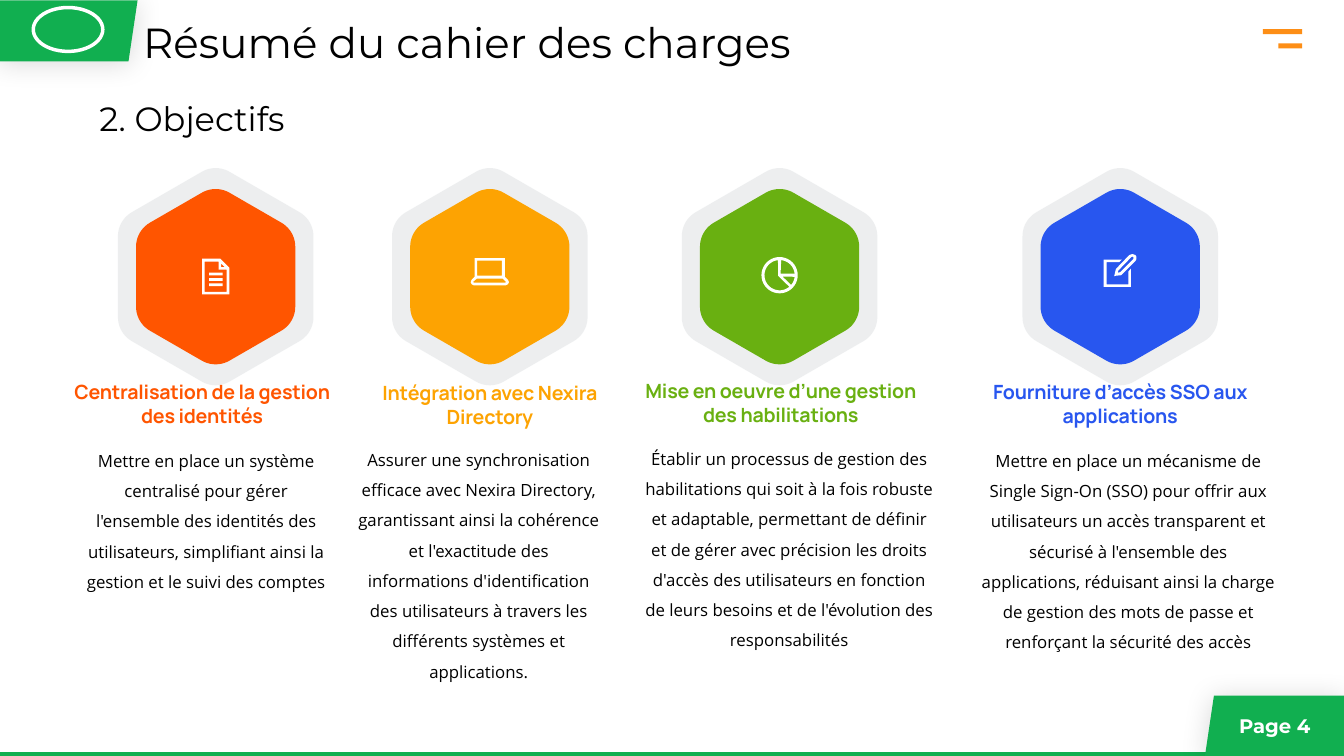
from math import cos, pi, radians, sin
from lxml.etree import SubElement as Sub
from pptx import Presentation
from pptx.dml.color import RGBColor as RGB
from pptx.enum.shapes import MSO_CONNECTOR as LINK, MSO_SHAPE as KIND
from pptx.enum.text import MSO_ANCHOR as ANCHOR, PP_ALIGN as ALIGN
from pptx.oxml.ns import qn
from pptx.util import Inches, Pt

WIDE, HIGH = 26.67, 15
GREEN, ORANGE, GREY, WHITE, BLACK = "11AF50", "FD8E16", "DCDFE1", "FFFFFF", "000000"


def arc(x, y, r, start, end, steps=10):
    turns = [radians(start + (end - start) * i / steps) for i in range(steps + 1)]
    return [(x + r * cos(t), y + r * sin(t)) for t in turns]


PAPER = [
    [(0, 0), (0, 71), (54, 71), (54, 18), (36, 0)],
    [(5, 6), (33, 6), (33, 22), (49, 22), (49, 66), (5, 66)],
    [(38, 10), (45, 17), (38, 17)],
] + [[(14, y), (41, y), (41, y + 5.5), (14, y + 5.5)] for y in (28, 39, 49.5)]
LAPTOP = [
    [(8, 0), (8, 37), (2, 43), (0, 48), (2, 52), (6, 54),
     (70, 54), (74, 52), (76, 48), (74, 43), (68, 37), (68, 0)],
    [(13, 5), (62, 5), (62, 35), (13, 35)],
    [(12, 41), (64, 41), (70, 47), (69, 49), (6, 49), (5, 47)],
]
PIE = [
    arc(36, 36, 36, 0, 360, 40),
    [(33, 37)] + arc(36, 36, 30, 50, 264, 24),
    [(38, 33)] + arc(36, 36, 30, -84, -6),
    [(42, 39)] + arc(36, 36, 30, 6, 40),
]
PEN = [
    [(0, 11), (0, 65), (54, 65), (54, 29), (49, 35), (49, 60),
     (6, 60), (6, 16), (31, 16), (36, 11)],
    [(57, 0), (51, 2), (25, 29), (24, 31), (21, 44), (25, 43),
     (35, 42), (36, 41), (63, 14), (65, 10), (65, 5), (63, 2)],
    [(57, 5), (59, 6), (59, 10), (33, 36), (28, 37), (29, 33), (55, 6)],
]

GOALS = [
    dict(mid=4.28, color="FF5500", icon=PAPER, spot=(4.01, 5.13),
         head="Centralisation de la gestion des identités", top=(1.29, 7.49, 5.44, 1.04),
         body="Mettre en place un système centralisé pour gérer l'ensemble des identités "
              "des utilisateurs, simplifiant ainsi la gestion et le suivi des comptes",
         area=(1.59, 8.69, 5, 3.07)),
    dict(mid=9.72, color="FDA302", icon=LAPTOP, spot=(9.34, 5.12),
         head="Intégration avec Nexira Directory", top=(7, 7.51, 5.44, 1.04),
         body="Assurer une synchronisation efficace avec Nexira Directory, garantissant "
              "ainsi la cohérence et l'exactitude des informations d'identification des "
              "utilisateurs à travers les différents systèmes et applications.",
         area=(7, 8.67, 5, 4.88)),
    dict(mid=15.47, color="69B011", icon=PIE, spot=(15.11, 5.1),
         head="Mise en oeuvre d’une gestion des habilitations", top=(12.68, 7.47, 5.63, 1.04),
         body="Établir un processus de gestion des habilitations qui soit à la fois robuste "
              "et adaptable, permettant de définir et de gérer avec précision les droits "
              "d'accès des utilisateurs en fonction de leurs besoins et de l'évolution des "
              "responsabilités",
         area=(12.69, 8.65, 5.94, 4.28)),
    dict(mid=22.23, color="2856EF", icon=PEN, spot=(21.9, 5.04),
         head="Fourniture d’accès SSO aux applications", top=(19.36, 7.49, 5.74, 1.04),
         body="Mettre en place un mécanisme de Single Sign-On (SSO) pour offrir aux "
              "utilisateurs un accès transparent et sécurisé à l'ensemble des applications, "
              "réduisant ainsi la charge de gestion des mots de passe et renforçant la "
              "sécurité des accès",
         area=(19.36, 8.69, 6.06, 4.28)),
]
TITLES = [
    ("Résumé du cahier des charges", (2.84, 0.33, 23.33, 1.01), 60),
    ("2. Objectifs", (1.97, 1.94, 23.33, 0.81), 48),
]
TABS = [
    [(-0.03, 0.01), (2.73, 0.01), (2.55, 1.22), (-0.03, 1.22)],
    [(WIDE, 15.01), (23.91, 15.01), (24.09, 13.8), (WIDE, 13.8)],
]
BARS = [(25.06, 0.58, 0.78, 0.1), (25.37, 0.86, 0.47, 0.1)]

deck = Presentation()
deck.slide_width, deck.slide_height = Inches(WIDE), Inches(HIGH)
slide = deck.slides.add_slide(deck.slide_layouts[6])
shapes = slide.shapes


def hue(code):
    return RGB.from_string(code)


def paint(shape, color):
    shape.shadow.inherit = False
    shape.fill.solid()
    shape.fill.fore_color.rgb = hue(color)
    shape.line.fill.background()
    return shape


def fade(node, share):
    Sub(node, qn("a:alpha"), val=str(share * 1000))


def draw(loops, color, left=0, top=0, unit=1):
    pen = None
    for loop in loops:
        (x, y), *rest = [(Inches(left + x * unit), Inches(top + y * unit)) for x, y in loop]
        if pen is None:
            pen = shapes.build_freeform(x, y)
        else:
            pen.move_to(x, y)
        pen.add_line_segments(rest, close=True)
    return paint(pen.convert_to_shape(), color)


def shade(shape):
    effects = shape._element.spPr.find(qn("a:effectLst"))
    glow = Sub(effects, qn("a:outerShdw"), blurRad=str(Pt(40)), dist=str(Pt(3)), dir="5400000")
    fade(Sub(glow, qn("a:srgbClr"), val=BLACK), 15)


def hexa(mid, half, color):
    curve = 0.55
    reach = (half - curve) / cos(pi / 6)
    loop = []
    for turn in range(-90, 270, 60):
        x, y = mid + reach * cos(radians(turn)), 5.49 + reach * sin(radians(turn))
        loop += arc(x, y, curve, turn - 30, turn + 30)
    return draw([loop], color)


def write(text, box, size, face, color=BLACK, align=ALIGN.LEFT, bold=False, inset=True):
    frame = shapes.add_textbox(*map(Inches, box)).text_frame
    frame.word_wrap = True
    if not inset:
        frame.margin_left = frame.margin_right = frame.margin_top = frame.margin_bottom = 0
    frame.text = text
    para = frame.paragraphs[0]
    para.alignment = align
    font = para.runs[0].font
    font.size, font.name, font.bold = Pt(size), face, bold
    font.color.rgb = hue(color)
    return frame


line = shapes.add_connector(LINK.STRAIGHT, *map(Inches, (0, 14.96, 23.95, 14.96)))
line.line.color.rgb = hue(GREEN)
line.line.width = Pt(6)
Sub(line._element.spPr, qn("a:effectLst"))

for tab in TABS:
    shade(draw([tab], GREEN))
write("Page 4", (22.23, 14.11, 3.87, 0.57), 28, "Montserrat", WHITE, ALIGN.RIGHT, True)
for bar in BARS:
    paint(shapes.add_shape(KIND.RECTANGLE, *map(Inches, bar)), ORANGE)

badge = paint(shapes.add_shape(KIND.OVAL, *map(Inches, (0.66, 0.15, 1.38, 0.87))), GREEN)
badge.line.color.rgb = hue(WHITE)
badge.line.width = Pt(5)

for goal in GOALS:
    rim = hexa(goal["mid"], 1.94, GREY)
    fade(rim._element.spPr.find(qn("a:solidFill"))[0], 50)
    hexa(goal["mid"], 1.58, goal["color"])
    draw(goal["icon"], WHITE, *goal["spot"], unit=0.01)
    write(goal["body"], goal["area"], 24, "Open Sans",
          align=ALIGN.CENTER).paragraphs[0].line_spacing = 1.5
    head = write(goal["head"], goal["top"], 28, "Manrope", goal["color"], ALIGN.CENTER, True)
    head.vertical_anchor = ANCHOR.BOTTOM
    head.paragraphs[0].runs[0].font._element.set("spc", "-30")

for text, box, size in TITLES:
    write(text, box, size, "Montserrat", inset=False)

deck.save("out.pptx")
